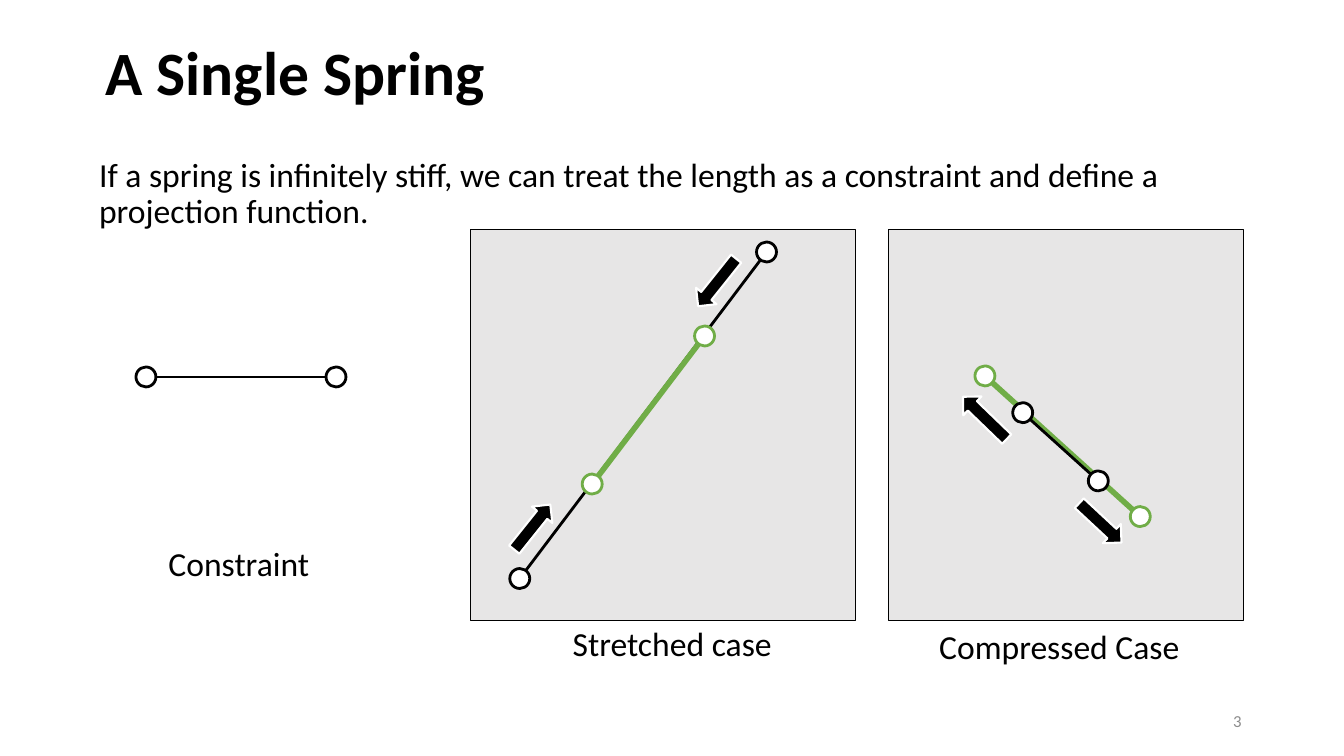
from pptx import Presentation
from pptx import util as u
from pptx.dml.color import RGBColor
from pptx.enum import shapes, text
from pptx.oxml.ns import qn
from lxml import etree

PX = 9525
BLACK, WHITE, GREEN, GREY = "000000", "FFFFFF", "70AD47", "E7E6E6"
NODE_SIZE = 19
ARROW_HEIGHT = 25


def px(length):
    return u.Emu(round(length * PX))


def colour(hex_code):
    return RGBColor.from_string(hex_code)


def add_text(slide, box, words, size, ink=BLACK, bold=False, spacing=None,
             align=text.PP_ALIGN.LEFT, anchor=text.MSO_ANCHOR.MIDDLE, wrap=True):
    frame = slide.shapes.add_textbox(*map(px, box)).text_frame
    frame.word_wrap = wrap
    frame.vertical_anchor = anchor
    if not wrap:
        frame.auto_size = text.MSO_AUTO_SIZE.SHAPE_TO_FIT_TEXT
    paragraph = frame.paragraphs[0]
    paragraph.text = words
    paragraph.alignment = align
    if spacing:
        paragraph.line_spacing = spacing
    paragraph.font.name = "Calibri"
    paragraph.font.size = u.Pt(size)
    paragraph.font.bold = bold
    paragraph.font.color.rgb = colour(ink)


def add_label(slide, box, words):
    add_text(slide, box, words, 24, anchor=text.MSO_ANCHOR.TOP, wrap=False)


def add_outline(slide, kind, box, fill, line, width):
    outline = slide.shapes.add_shape(kind, *map(px, box))
    outline.shadow.inherit = False
    outline.fill.solid()
    outline.fill.fore_color.rgb = colour(fill)
    outline.line.color.rgb = colour(line)
    outline.line.width = u.Pt(width)
    return outline


def add_spring(slide, start, end, ink, width):
    spring = slide.shapes.add_connector(
        shapes.MSO_CONNECTOR.STRAIGHT, *map(px, (*start, *end)))
    spring.line.color.rgb = colour(ink)
    spring.line.width = u.Pt(width)
    etree.SubElement(spring._element.spPr, qn("a:effectLst"))


def add_node(slide, centre, ink):
    x, y = centre
    box = (x - NODE_SIZE / 2, y - NODE_SIZE / 2, NODE_SIZE, NODE_SIZE)
    add_outline(slide, shapes.MSO_SHAPE.OVAL, box, WHITE, ink, 2)


def add_arrow(slide, centre, length, angle):
    x, y = centre
    box = (x - length / 2, y - ARROW_HEIGHT / 2, length, ARROW_HEIGHT)
    arrow = add_outline(slide, shapes.MSO_SHAPE.RIGHT_ARROW, box, BLACK, WHITE, 1.5)
    arrow.rotation = angle


def add_constraint(slide, left, top, width, height):
    ends = [(left, top), (left + width, top)]
    add_spring(slide, *ends, BLACK, 2)
    for end in ends:
        add_node(slide, end, BLACK)
    add_label(slide, (left + 12, top + height - 48, 155, 48), "Constraint")


def add_case(slide, box, springs, arrows, label, label_box):
    left, top = box[:2]

    def place(point):
        return left + point[0], top + point[1]

    add_outline(slide, shapes.MSO_SHAPE.RECTANGLE, box, GREY, BLACK, 0.75)
    for ink, width, *ends in springs:
        add_spring(slide, *map(place, ends), ink, width)
    for ink, _, *ends in springs:
        for end in ends:
            add_node(slide, place(end), ink)
    for centre, length, angle in arrows:
        add_arrow(slide, place(centre), length, angle)
    add_label(slide, (*place(label_box[:2]), *label_box[2:]), label)


def add_heading(slide, left, top, width):
    add_text(slide, (left + 6, top, width, 139), "A Single Spring", 44,
             bold=True, spacing=0.9)
    add_text(slide, (left, top + 127, width + 34, 112),
             "If a spring is infinitely stiff, we can treat the length as a "
             "constraint and define a projection function.", 24, spacing=0.9)


def main():
    deck = Presentation()
    deck.slide_width, deck.slide_height = px(1280), px(720)
    slide = deck.slides.add_slide(deck.slide_layouts[6])

    add_heading(slide, 85, 2, 1104)
    add_constraint(slide, 139, 359, 181, 201)
    add_case(
        slide, (448, 219, 367, 372),
        [(BLACK, 2, (47, 332), (282, 21)),
         (GREEN, 4, (116, 242), (223, 101))],
        [((59, 283), 55, 308.6), ((235, 50), 58, 128.6)],
        "Stretched case", (88, 370, 209, 48))
    add_case(
        slide, (846, 219, 338, 372),
        [(GREEN, 4, (92, 139), (240, 273)),
         (BLACK, 2, (128, 174), (200, 239))],
        [((202, 279), 55, 43), ((92, 179), 58, 224)],
        "Compressed Case", (39, 372, 249, 48))
    add_text(slide, (904, 667, 288, 38), "3", 12, "8C8C8C",
             align=text.PP_ALIGN.RIGHT)

    deck.save("out.pptx")


if __name__ == "__main__":
    main()
